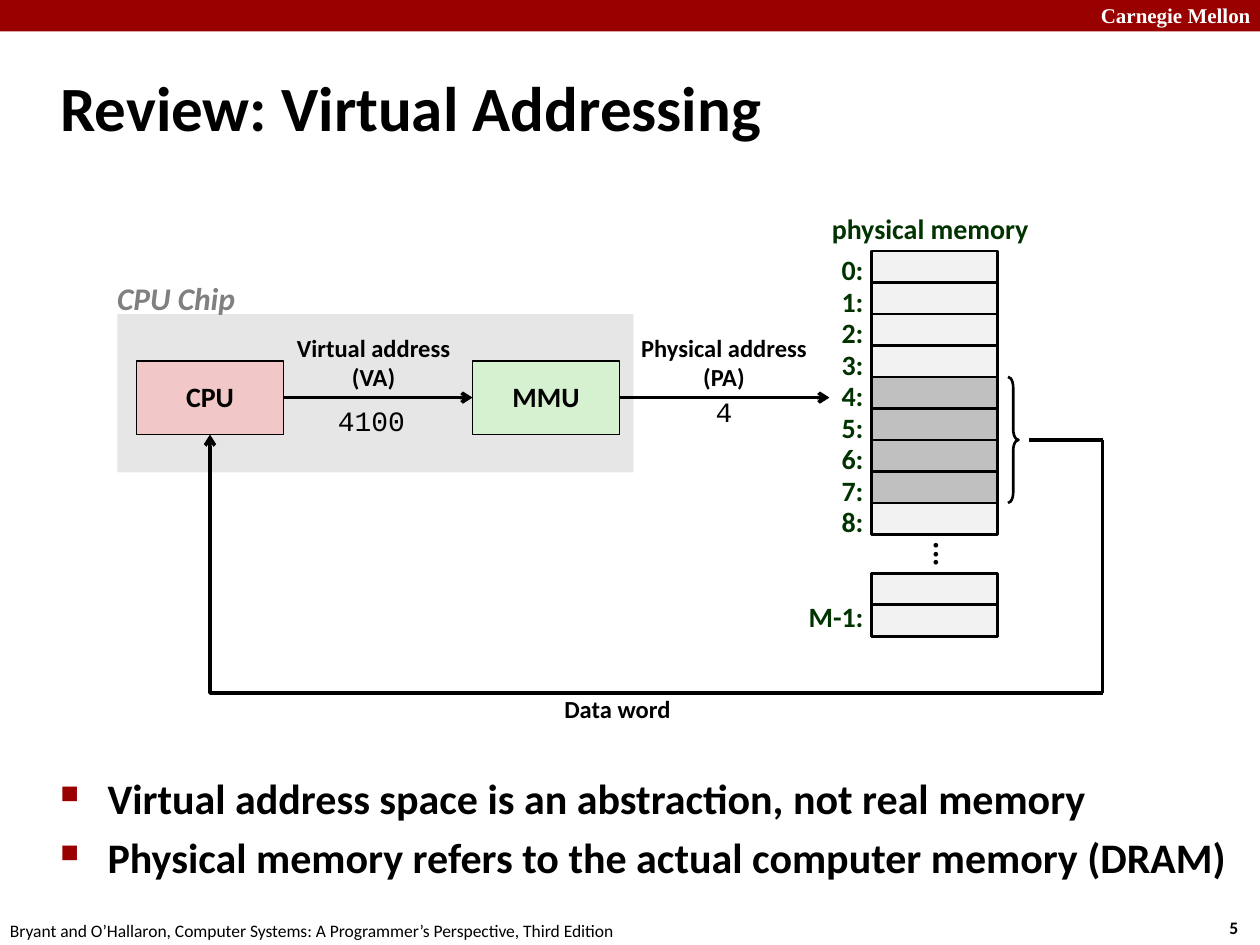
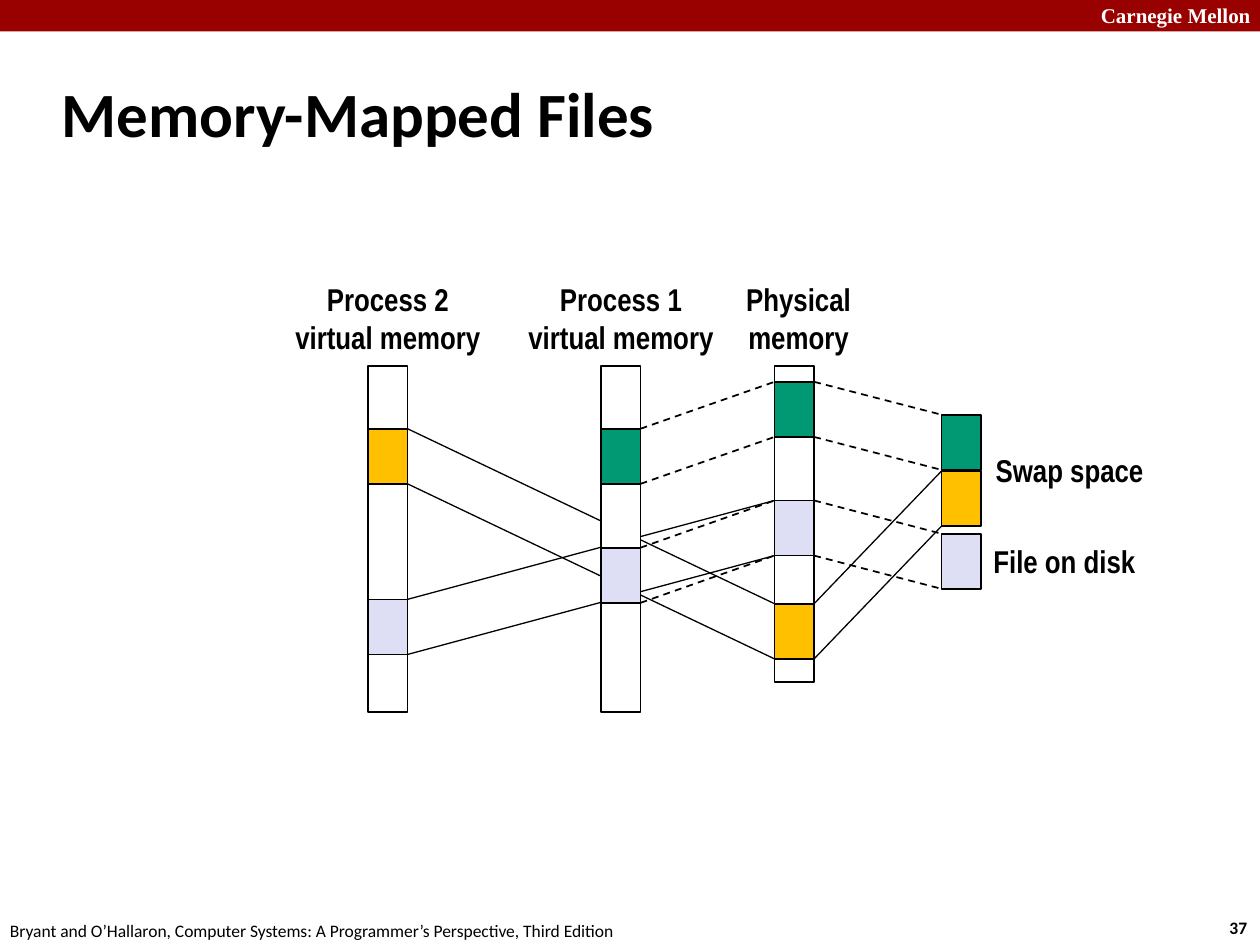
from dataclasses import dataclass
from typing import Optional

from lxml import etree
from pptx import Presentation
from pptx import util as u
from pptx.dml import color
from pptx.enum import dml, shapes, text
from pptx.oxml import ns

COLOURS = {
    "band": "990000", "white": "FFFFFF", "black": "000000", "chip": "E6E6E6",
    "chip_name": "808080", "cpu": "F1C7C7", "mmu": "D5F1CF", "address": "003300",
    "cell": "F2F2F2", "word": "C0C0C0",
    "green": "009973", "lavender": "DEDFF5", "yellow": "FFC000",
}
LEFT, CENTRE, RIGHT = text.PP_ALIGN.LEFT, text.PP_ALIGN.CENTER, text.PP_ALIGN.RIGHT
RECT = shapes.MSO_SHAPE.RECTANGLE
TOP, MIDDLE = text.MSO_ANCHOR.TOP, text.MSO_ANCHOR.MIDDLE


@dataclass(frozen=True)
class Style:
    size: float
    colour: str = "black"
    font: str = "Calibri"
    bold: bool = True
    italic: bool = False
    align: int = LEFT
    anchor: int = TOP
    spacing: Optional[float] = None
    wrap: bool = False


@dataclass(frozen=True)
class Box:
    left: float
    top: float
    width: float
    height: float

    @property
    def right(self) -> float:
        return self.left + self.width

    @property
    def bottom(self) -> float:
        return self.top + self.height

    def lengths(self) -> tuple:
        return tuple(u.Pt(v) for v in (self.left, self.top, self.width, self.height))


@dataclass(frozen=True)
class Label:
    words: str
    box: Box
    style: Style


@dataclass(frozen=True)
class Mapping:
    start: Box
    end: Box
    dashed: bool = False


# Text styles
TITLE = Style(36, anchor=MIDDLE, wrap=True)
BODY = Style(24, wrap=True)
BRAND = Style(12, "white", "Times New Roman", wrap=True)
FOOTER = Style(10, bold=False)
PAGE_NUMBER = Style(10)
ADDRESS = Style(16, "address", align=RIGHT, spacing=0.88)
MEMORY_NAME = Style(16, "address", align=CENTRE, spacing=0.88)
UNIT = Style(16, align=CENTRE, anchor=MIDDLE, spacing=0.98)
SIGNAL = Style(14, align=CENTRE, anchor=MIDDLE, spacing=0.98)
ELLIPSIS = Style(18, align=CENTRE, anchor=MIDDLE, spacing=0.98)
CHIP_NAME = Style(18, "chip_name", italic=True)
VALUE = Style(16, font="Courier New", bold=False)
STORE_NAME = Style(18, font="Arial Narrow", align=CENTRE, anchor=MIDDLE)


def rgb(name: str) -> color.RGBColor:
    return color.RGBColor.from_string(COLOURS[name])


def write(frame, words: str, style: Style) -> None:
    frame.text = words
    frame.word_wrap = style.wrap
    frame.vertical_anchor = style.anchor
    for paragraph in frame.paragraphs:
        paragraph.alignment = style.align
        if style.spacing:
            paragraph.line_spacing = style.spacing
        for run in paragraph.runs:
            run.font.name, run.font.size = style.font, u.Pt(style.size)
            run.font.bold, run.font.italic = style.bold, style.italic
            run.font.color.rgb = rgb(style.colour)


def add_label(slide, label: Label):
    frame = slide.shapes.add_textbox(*label.box.lengths()).text_frame
    write(frame, label.words, label.style)
    return frame


def add_block(slide, box: Box, fill: Optional[str], line: float = 0, kind=RECT):
    block = slide.shapes.add_shape(kind, *box.lengths())
    block.shadow.inherit = False
    if fill:
        block.fill.solid()
        block.fill.fore_color.rgb = rgb(fill)
    else:
        block.fill.background()
    if line:
        block.line.width = u.Pt(line)
        block.line.color.rgb = rgb("black")
    else:
        block.line.fill.background()
    return block


def add_line(slide, start: tuple, end: tuple, width: float, arrow: bool = False,
             dashed: bool = False, kind=shapes.MSO_CONNECTOR.STRAIGHT):
    line = slide.shapes.add_connector(kind, *(u.Pt(v) for v in start + end))
    line.line.width = u.Pt(width)
    line.line.color.rgb = rgb("black")
    if dashed:
        line.line.dash_style = dml.MSO_LINE.DASH
    properties = line._element.spPr
    if arrow:
        outline = properties.find(ns.qn("a:ln"))
        etree.SubElement(outline, ns.qn("a:tailEnd"), type="arrow")
    etree.SubElement(properties, ns.qn("a:effectLst"))
    return line


def add_bullets(slide, box: Box, lines: list) -> None:
    frame = add_label(slide, Label("\n".join(lines), box, BODY))
    for index, paragraph in enumerate(frame.paragraphs):
        if index:
            paragraph.space_before = u.Pt(4.8)
        layout = paragraph._p.get_or_add_pPr()
        layout.set("marL", str(u.Pt(27)))
        layout.set("indent", str(-u.Pt(27)))
        tint = etree.SubElement(layout, ns.qn("a:buClr"))
        etree.SubElement(tint, ns.qn("a:srgbClr"), val=COLOURS["band"])
        etree.SubElement(layout, ns.qn("a:buSzPct"), val="60000")
        # Wingdings draws this character as a small square
        etree.SubElement(layout, ns.qn("a:buFont"), typeface="Wingdings", charset="2")
        etree.SubElement(layout, ns.qn("a:buChar"), char="n")


def start_slide(deck, number: int, title: str, title_box: Box):
    slide = deck.slides.add_slide(deck.slide_layouts[6])
    add_block(slide, Box(0, 0, 720, 18), "band")
    for label in (
        Label("Carnegie Mellon", Box(622, -2.2, 103, 21.6), BRAND),
        Label(str(number), Box(695.5, 520.6, 26.6, 19.4), PAGE_NUMBER),
        Label("Bryant and O’Hallaron, Computer Systems: A Programmer’s Perspective, "
              "Third Edition", Box(-1.4, 522, 365.8, 19.4), FOOTER),
        Label(title, title_box, TITLE),
    ):
        add_label(slide, label)
    return slide


def build_addressing(deck) -> None:
    slide = start_slide(deck, 5, "Review: Virtual Addressing", Box(27.4, 29.8, 686, 62))

    # Processor chip
    cpu, mmu = (Box(left, 206.3, 84, 42) for left in (78, 270))
    add_block(slide, Box(67, 179.5, 295, 90.5), "chip")
    for name, box, fill in (("CPU", cpu, "cpu"), ("MMU", mmu, "mmu")):
        write(add_block(slide, box, fill, 1).text_frame, name, UNIT)

    # Physical memory: cells 0 to 8, a gap, then the last two cells
    row, memory_left, memory_top, tail_top = 18, 498, 143.4, 327.6
    word = range(4, 8)

    def add_address(name: str, top: float) -> None:
        add_label(slide, Label(name, Box(454.5, top, 46, 23.8), ADDRESS))

    for address in range(9):
        top = memory_top + address * row
        add_block(slide, Box(memory_left, top, 72, row),
                  "word" if address in word else "cell", 1.5)
        add_address(f"{address}:", top)
    for index in range(2):
        add_block(slide, Box(memory_left, tail_top + index * row, 72, row), "cell", 1.5)
    add_address("M-1:", 341.3)
    gap = add_label(slide, Label("...", Box(504, 302.6, 72, 18), ELLIPSIS))
    gap._txBody.bodyPr.set("vert", "eaVert")

    for label in (
        Label("physical memory", Box(465.3, 119.8, 132.5, 23.8), MEMORY_NAME),
        Label("CPU Chip", Box(59.8, 155.9, 83.5, 28.8), CHIP_NAME),
        Label("Virtual address\n(VA)", Box(162, 187.2, 103, 41), SIGNAL),
        Label("Physical address\n(PA)", Box(358.6, 187.2, 110.2, 41), SIGNAL),
        Label("4100", Box(186, 226.8, 53.3, 26.6), VALUE),
        Label("4", Box(401.8, 221.8, 24.5, 26.6), VALUE),
        Label("Data word", Box(315, 393.8, 75.6, 23.8), SIGNAL),
    ):
        add_label(slide, label)

    # Addresses go out to memory
    address_y = 227.2
    add_line(slide, (cpu.right, address_y), (mmu.left, address_y), 2, arrow=True)
    add_line(slide, (mmu.right, address_y), (474, address_y), 2, arrow=True)

    # The data word comes back to the CPU
    word_box = Box(576, memory_top + word.start * row, 6, len(word) * row)
    brace = add_block(slide, word_box, None, 1.5, shapes.MSO_SHAPE.RIGHT_BRACE)
    brace.adjustments[0] = 1
    word_y, return_x, return_y = word_box.top + word_box.height / 2, 630, 396
    add_line(slide, (588, word_y), (return_x, word_y), 2)
    add_line(slide, (return_x, word_y), (return_x, return_y), 2)
    way_back = add_line(slide, (cpu.left + cpu.width / 2, cpu.bottom),
                        (return_x, return_y), 2, arrow=True,
                        kind=shapes.MSO_CONNECTOR.ELBOW)
    properties = way_back._element.spPr
    properties.find(ns.qn("a:xfrm")).set("rot", "10800000")
    properties.find(ns.qn("a:prstGeom")).set("prst", "bentConnector2")

    add_bullets(slide, Box(27.4, 437.8, 684, 99.4), [
        "Virtual address space is an abstraction, not real memory",
        "Physical memory refers to the actual computer memory (DRAM)",
    ])


def add_mapping(slide, mapping: Mapping) -> None:
    start, end = mapping.start, mapping.end
    for start_y, end_y in ((start.top, end.top), (start.bottom, end.bottom)):
        add_line(slide, (start.right, start_y), (end.left, end_y),
                 1 if mapping.dashed else 0.75, dashed=mapping.dashed)


def build_mapped_files(deck) -> None:
    slide = start_slide(deck, 37, "Memory-Mapped Files", Box(28.2, 34.2, 597.6, 59.8))
    width, top = 22.6, 209

    process_2 = Box(210.3, top, width, 198)
    process_1 = Box(343.4, top, width, 198)
    physical = Box(442.6, top, width, 180.8)
    disk_left = 538

    def page(left: float, page_top: float) -> Box:
        return Box(left, page_top, width, 31.5)

    # Pages by content, each listed from process to disk
    private_2 = [page(process_2.left, 245), page(physical.left, 345),
                 page(disk_left, 269.2)]
    private_1 = [page(process_1.left, 245), page(physical.left, 218.2),
                 page(disk_left, 237)]
    shared_2 = page(process_2.left, 342.5)
    shared = [page(process_1.left, 313), page(physical.left, 286), page(disk_left, 305)]

    # Mappings of process 2 run behind the columns
    for mapping in (Mapping(shared_2, shared[1]), Mapping(private_2[0], private_2[1])):
        add_mapping(slide, mapping)

    for column, fill in ((process_2, None), (process_1, "white"), (physical, None)):
        add_block(slide, column, fill, 1)
    for fill, pages in (("green", private_1), ("lavender", [shared_2, *shared]),
                        ("yellow", private_2)):
        for box in pages:
            add_block(slide, box, fill, 1)

    # Mappings of process 1 and of the disk
    for pages in (private_1, shared):
        for start, end in zip(pages, pages[1:]):
            add_mapping(slide, Mapping(start, end, dashed=True))
    add_mapping(slide, Mapping(private_2[1], private_2[2]))

    for words, box in (
        ("Process 2\nvirtual memory", Box(160.8, 156.2, 121.7, 51)),
        ("Process 1\nvirtual memory", Box(294, 156.2, 121.7, 51)),
        ("Physical\nmemory", Box(418.5, 156.2, 75.6, 51)),
        ("Swap space", Box(561.2, 254.2, 100, 28.8)),
        ("File on disk", Box(560, 306, 96.5, 28.8)),
    ):
        add_label(slide, Label(words, box, STORE_NAME))


def main() -> None:
    deck = Presentation()
    deck.slide_width, deck.slide_height = u.Pt(720), u.Pt(540)
    build_addressing(deck)
    build_mapped_files(deck)
    deck.save("out.pptx")


if __name__ == "__main__":
    main()
